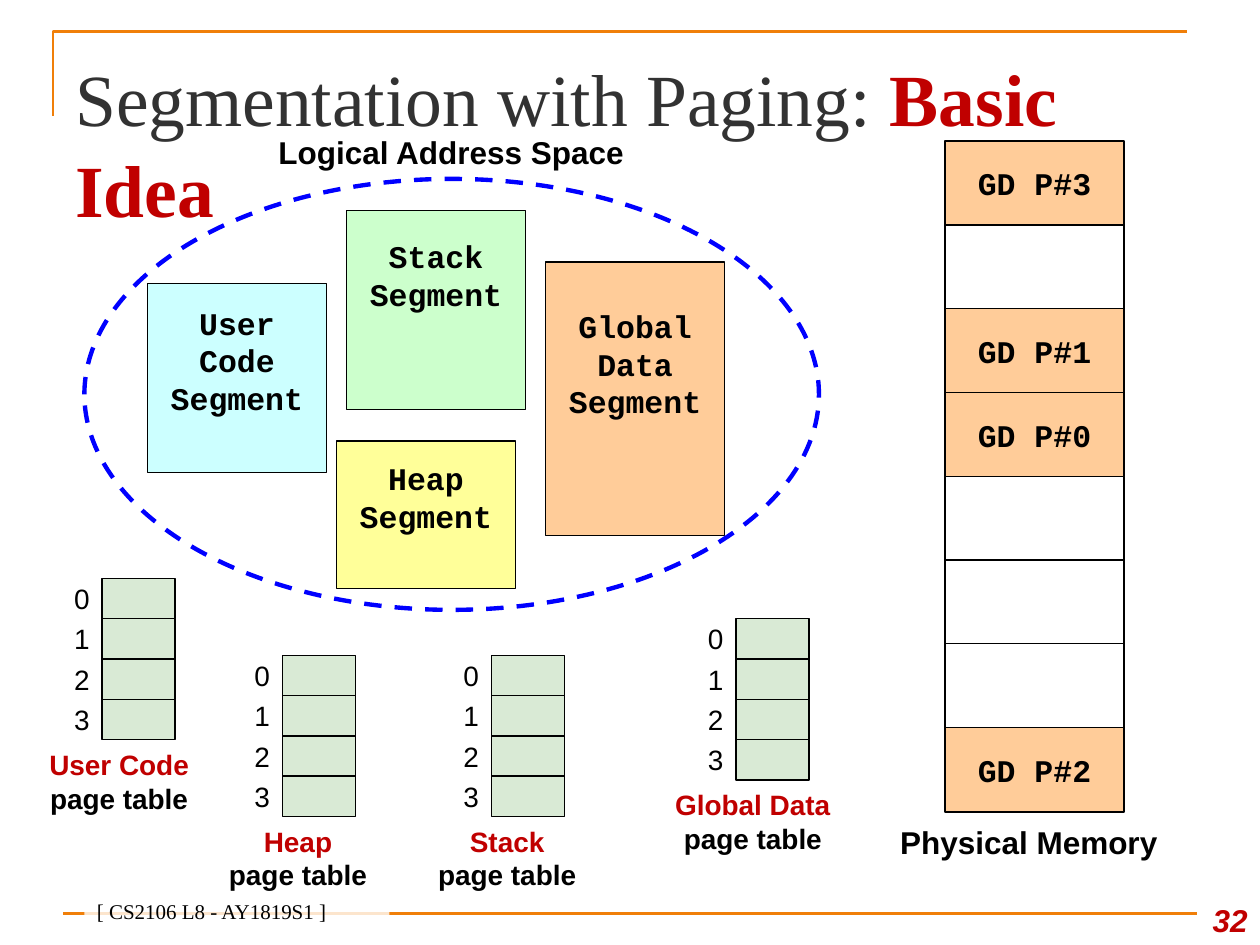
from lxml import etree
from pptx import Presentation
from pptx import util as u
from pptx.dml.color import RGBColor
from pptx.enum import dml, shapes, text
from pptx.oxml.ns import qn

COLORS = {
    "accent": "F07F09", "title": "323232", "red": "C00000", "black": "000000",
    "white": "FFFFFF", "code": "CCFFFF", "stack": "CCFFCC", "heap": "FFFF99",
    "data": "FFCC99", "entry": "D9EAD5", "outline": "0000FF",
}
SERIF, SANS, MONO = "Times New Roman", "Arial", "Courier New"
LEFT, CENTER, RIGHT = text.PP_ALIGN.LEFT, text.PP_ALIGN.CENTER, text.PP_ALIGN.RIGHT
TOP, MIDDLE, BOTTOM = text.MSO_ANCHOR.TOP, text.MSO_ANCHOR.MIDDLE, text.MSO_ANCHOR.BOTTOM
RECTANGLE, OVAL = shapes.MSO_SHAPE.RECTANGLE, shapes.MSO_SHAPE.OVAL

BLANK_LINE = 0.28
SEGMENTS = [
    ("User Code Segment", (1.17, 2.25, 1.42, 1.5), "code", 1),
    ("Stack Segment", (2.75, 1.67, 1.42, 1.58), "stack", 2),
    ("Heap Segment", (2.67, 3.5, 1.42, 1.17), "heap", 1),
    ("Global Data Segment", (4.33, 2.08, 1.42, 2.17), "data", 2),
]
PAGE_TABLES = [
    ("Global Data", 5.34, 4.91, 5.1),
    ("User Code", 0.31, 4.59, 0.07),
    ("Heap", 1.74, 5.2, 1.49),
    ("Stack", 3.4, 5.2, 3.15),
]
FRAMES = ["GD P#3", "", "GD P#1", "GD P#0", "", "", "", "GD P#2"]


def rgb(name):
    """Return the named colour."""
    return RGBColor.from_string(COLORS[name])


def inches(values):
    """Turn numbers into lengths."""
    return [u.Inches(value) for value in values]


def write(box, paragraphs, size, font, align=LEFT, anchor=TOP, bold=False, italic=False):
    """Fill a shape with paragraphs, each a list of (wording, colour, bold) runs."""
    frame = box.text_frame
    frame.word_wrap = True
    frame.vertical_anchor = anchor
    for index, runs in enumerate(paragraphs):
        para = frame.add_paragraph() if index else frame.paragraphs[0]
        para.alignment = align
        for wording, color, *weight in runs:
            span = para.add_run()
            span.text = wording
            span.font.name = font
            span.font.size = u.Pt(size)
            span.font.bold = weight[0] if weight else bold
            span.font.italic = italic
            span.font.color.rgb = rgb(color)
    return frame


def add_label(parent, place, paragraphs, size, font, **style):
    """Add a text box."""
    return write(parent.shapes.add_textbox(*inches(place)), paragraphs, size, font, **style)


def set_line(shape, color, width):
    """Style an outline."""
    shape.line.color.rgb = rgb(color)
    shape.line.width = u.Pt(width)


def add_box(parent, place, fill, kind=RECTANGLE):
    """Add a filled shape with a thin black outline."""
    box = parent.shapes.add_shape(kind, *inches(place))
    box.shadow.inherit = False
    if fill:
        box.fill.solid()
        box.fill.fore_color.rgb = rgb(fill)
    else:
        box.fill.background()
    set_line(box, "black", 0.75)
    return box


def add_frame_lines(page):
    """Draw the corner line at the top and the rule at the bottom."""
    builder = page.shapes.build_freeform(u.Inches(0.42), u.Inches(0.92))
    builder.add_line_segments([inches((0.42, 0.25)), inches((9.42, 0.25))], close=False)
    corner = builder.convert_to_shape()
    corner.shadow.inherit = False
    corner.fill.background()
    set_line(corner, "accent", 1.5)
    rule = page.shapes.add_connector(shapes.MSO_CONNECTOR.STRAIGHT, *inches((0.5, 7.25, 9.5, 7.25)))
    set_line(rule, "accent", 1.5)
    etree.SubElement(rule._element.spPr, qn("a:effectLst"))


def add_title(page):
    """Write the slide title."""
    frame = add_label(page, (0.5, 0.3, 9, 0.78),
                      [[("Segmentation with Paging: ", "title"), ("Basic Idea", "red", True)]],
                      42, SERIF)
    frame.margin_top = u.Inches(0.09)
    frame.paragraphs[0].line_spacing = 1.04


def add_footer(page):
    """Add the page number and the course label on its translucent strip."""
    add_label(page, (9.42, 7, 0.58, 0.5), [[("32", "red")]], 18, SANS,
              align=RIGHT, anchor=BOTTOM, bold=True, italic=True)
    strip = add_box(page, (0.67, 7.13, 2.42, 0.25), "white")
    strip.line.fill.background()
    color = strip._element.spPr.find(qn("a:solidFill"))[0]
    etree.SubElement(color, qn("a:alpha"), val="80000")
    write(strip, [[("[ CS2106 L8 - AY1819S1 ]", "black")]], 12, SERIF, anchor=BOTTOM)


def add_address_space(page):
    """Draw the segments inside the dashed logical address space."""
    group = page.shapes.add_group_shape()
    for name, place, fill, blank_lines in SEGMENTS:
        box = add_box(group, place, fill)
        frame = write(box, [[(name, "black")]], 18, MONO, align=CENTER, anchor=MIDDLE, bold=True)
        frame.margin_bottom = u.Inches(0.05 + BLANK_LINE * blank_lines)
    space = add_box(group, (0.67, 1.42, 5.83, 3.42), None, OVAL)
    set_line(space, "outline", 2.5)
    space.line.dash_style = dml.MSO_LINE.DASH
    add_label(group, (2.04, 1.01, 3.08, 0.4), [[("Logical Address Space", "black")]],
              18, SANS, align=CENTER, bold=True)


def add_page_table(page, name, left, top, caption_left):
    """Draw one numbered page table with its caption."""
    group = page.shapes.add_group_shape()
    height = 0.32
    for row in range(4):
        y = top + row * height
        add_label(group, (left, y, 0.5, height), [[(str(row), "black")]], 16, SANS,
                  align=RIGHT, anchor=MIDDLE)
        add_box(group, (left + 0.5, y, 0.58, height), "entry")
    add_label(group, (caption_left, top + 1.48, 1.75, 0.26),
              [[(name, "red")], [("page table", "black")]], 16, SANS,
              align=CENTER, anchor=MIDDLE, bold=True)


def add_physical_memory(page):
    """Draw the column of physical memory frames."""
    group = page.shapes.add_group_shape()
    add_label(group, (6.58, 6.48, 3.17, 0.4), [[("Physical Memory", "black")]],
              18, SANS, align=CENTER, bold=True)
    step = 5.32 / len(FRAMES)
    for index, name in enumerate(FRAMES):
        box = add_box(group, (7.5, 1.12 + index * step, 1.42, 0.67), "data" if name else "white")
        if name:
            write(box, [[(name, "black")]], 18, MONO, align=CENTER, anchor=MIDDLE, bold=True)


def main():
    """Build and save the deck."""
    deck = Presentation()
    deck.slide_width, deck.slide_height = inches((10, 7.5))
    page = deck.slides.add_slide(deck.slide_layouts[6])
    add_frame_lines(page)
    add_title(page)
    add_footer(page)
    add_address_space(page)
    add_physical_memory(page)
    for table in PAGE_TABLES:
        add_page_table(page, *table)
    deck.save("out.pptx")


if __name__ == "__main__":
    main()
